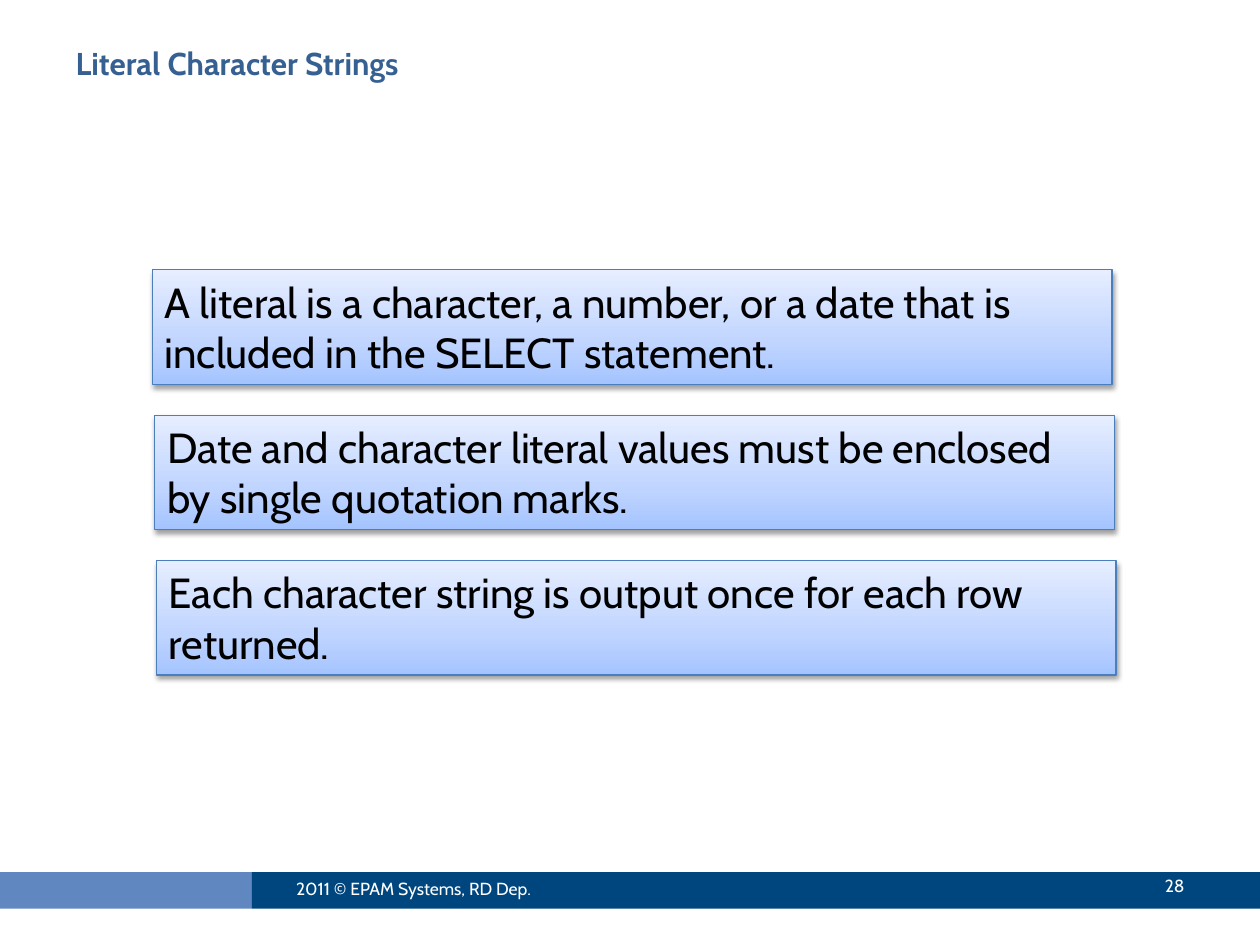
import copy

import pptx
import pptx.dml.color
import pptx.enum.shapes
import pptx.enum.text
import pptx.util
from lxml import etree
from pptx.oxml.ns import qn

Cm, Pt = pptx.util.Cm, pptx.util.Pt
ALIGN, ANCHOR = pptx.enum.text.PP_ALIGN, pptx.enum.text.MSO_ANCHOR
RECT = pptx.enum.shapes.MSO_SHAPE.RECTANGLE

FONT = "Cabin"
COLORS = {
    "title": "376092", "text": "000000", "footer_text": "FFFFFF",
    "footer_left": "6087BF", "footer_right": "00467E",
    "border": "4B7EBC", "shadow": "000000",
}
GRADIENT = [(0, "A4C4FF"), (0.35, "BFD4FF"), (1, "E6EEFF")]
STATEMENTS = [
    (3.07, "A literal is a character, a number, or a date that is "
           "included in the SELECT statement."),
    (3.12, "Date and character literal values must be enclosed by "
           "single quotation marks."),
    (3.15, "Each character string is output once for each row returned."),
]


def rgb(name):
    return pptx.dml.color.RGBColor.from_string(COLORS.get(name, name))


def write(sp, text, size, color, align=ALIGN.LEFT, anchor=ANCHOR.TOP, bold=False):
    tf = sp.text_frame
    tf.text = text
    tf.word_wrap = True
    tf.vertical_anchor = anchor
    p = tf.paragraphs[0]
    p.alignment = align
    font = p.runs[0].font
    font.name, font.size, font.bold = FONT, Pt(size), bold
    font.color.rgb = rgb(color)


def add_rect(s, left, top, width, height):
    sp = s.shapes.add_shape(RECT, Cm(left), Cm(top), Cm(width), Cm(height))
    sp.shadow.inherit = False
    return sp


def fill_gradient(sp):
    """Fill with the three-stop gradient, running from bottom to top."""
    sp.fill.gradient()
    sp.fill.gradient_angle = 90
    first = sp._element.spPr.find(".//" + qn("a:gs"))
    first.addnext(copy.deepcopy(first))
    for stop, (position, color) in zip(sp.fill.gradient_stops, GRADIENT):
        stop.position = position
        stop.color.rgb = rgb(color)


def add_shadow(sp):
    effects = sp._element.spPr.find(qn("a:effectLst"))
    shadow = etree.SubElement(
        effects, qn("a:outerShdw"), blurRad=str(Pt(3.1)), dist=str(Pt(1.6)),
        dir="5400000", rotWithShape="0")
    color = etree.SubElement(shadow, qn("a:srgbClr"), val=COLORS["shadow"])
    etree.SubElement(color, qn("a:alpha"), val="38000")


def add_title(s, left, top, width, height, text):
    sp = s.shapes.title
    sp.left, sp.top, sp.width, sp.height = map(Cm, (left, top, width, height))
    write(sp, text, 18, "title", bold=True)


def add_statement(s, left, top, width, height, text):
    sp = add_rect(s, left, top, width, height)
    fill_gradient(sp)
    add_shadow(sp)
    sp.line.color.rgb = rgb("border")
    sp.line.width = Pt(0.75)
    write(sp, text, 24, "text")


def add_footer(s, left, top, width, height):
    split = 5.08
    for x, w, color in [(0, split, "footer_left"),
                        (split, width - split, "footer_right")]:
        sp = add_rect(s, left + x, top, w, height)
        sp.fill.solid()
        sp.fill.fore_color.rgb = rgb(color)
        sp.line.fill.background()
    for x, dy, w, text, align in [
            (5.72, -0.18, 6.78, "2011 © EPAM Systems, RD Dep.", ALIGN.LEFT),
            (21.39, -0.23, 2.74, "28", ALIGN.RIGHT)]:
        tb = s.shapes.add_textbox(Cm(left + x), Cm(top + dy), Cm(w), Cm(1.02))
        write(tb, text, 10, "footer_text", align, ANCHOR.MIDDLE)


def main():
    prs = pptx.Presentation()
    prs.slide_width, prs.slide_height = Cm(25.4), Cm(19.05)
    s = prs.slides.add_slide(prs.slide_layouts[5])
    add_footer(s, 0, 17.58, 25.4, 0.74)
    add_title(s, 1.27, 0.76, 22.86, 1.98, "Literal Character Strings")
    for i, (left, text) in enumerate(STATEMENTS):
        add_statement(s, left, 5.44 + i * 2.93, 19.35, 2.31, text)
    prs.save("out.pptx")


if __name__ == "__main__":
    main()
